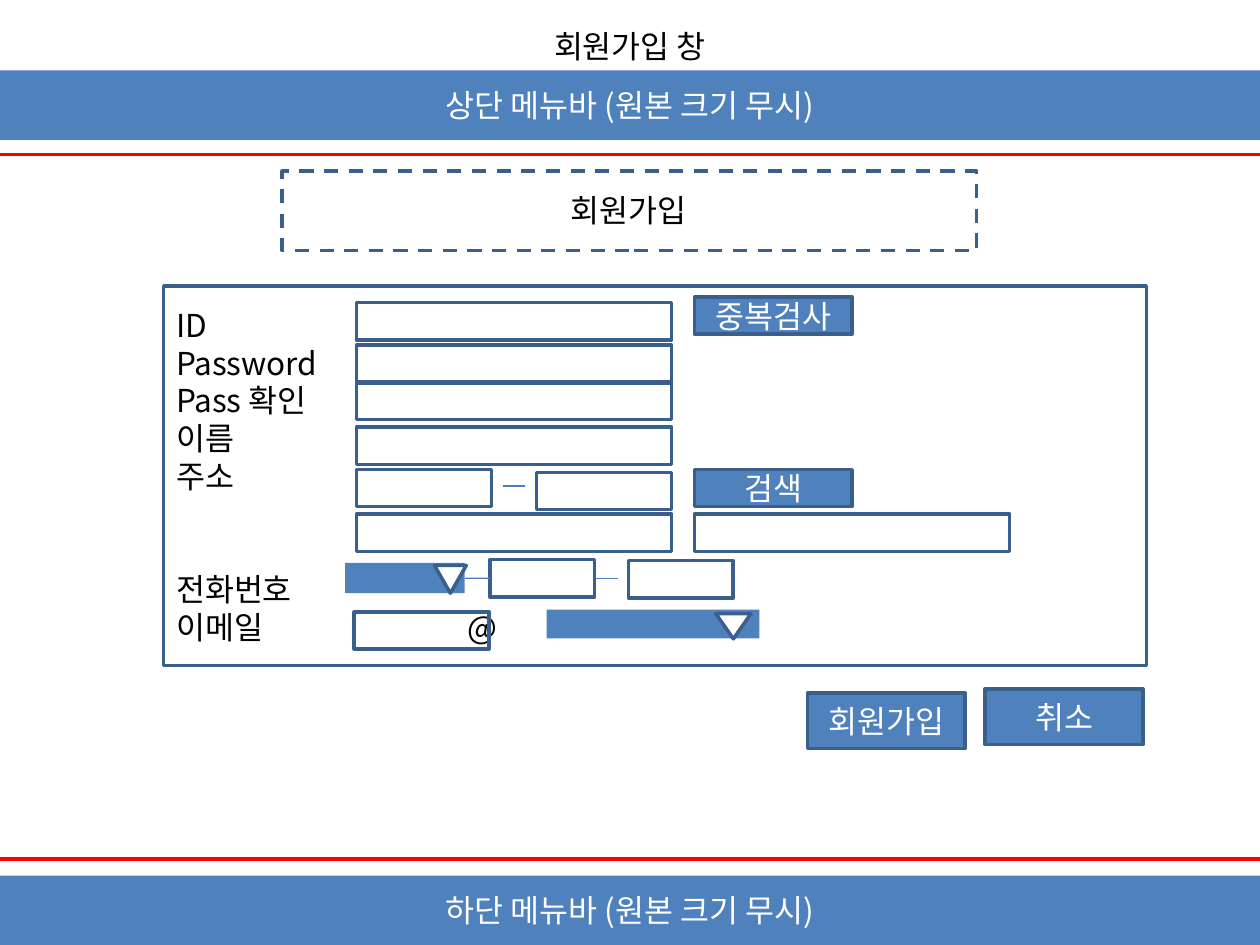
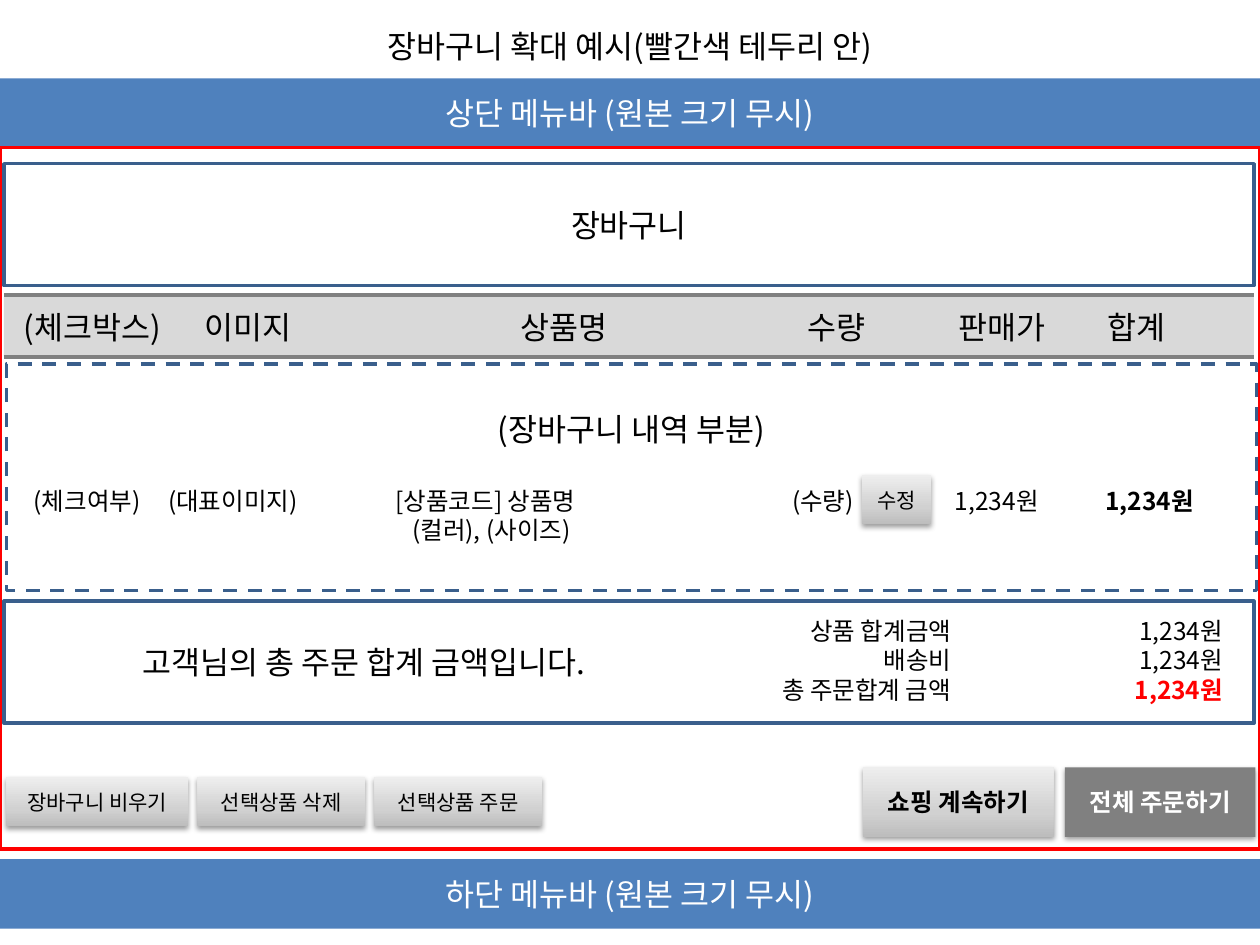
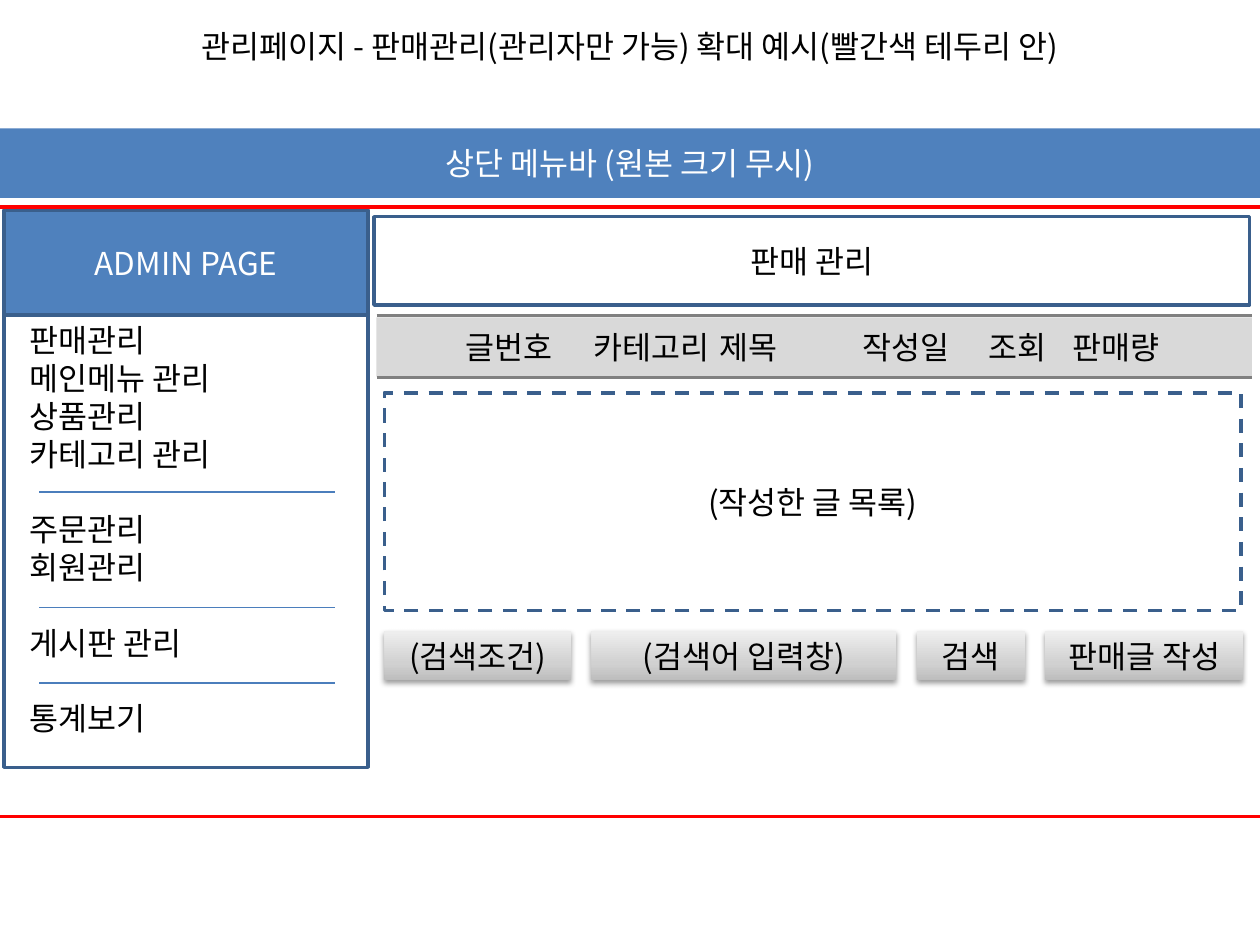
import copy
from dataclasses import dataclass
from typing import Any, NamedTuple, Optional

import pptx
import pptx.dml.color
import pptx.enum.dml
import pptx.enum.shapes
import pptx.enum.text
import pptx.oxml.ns
import pptx.util
from lxml import etree

Cm = pptx.util.Cm
Pt = pptx.util.Pt
RGBColor = pptx.dml.color.RGBColor
SHAPE = pptx.enum.shapes.MSO_SHAPE
ALIGN = pptx.enum.text.PP_ALIGN
ANCHOR = pptx.enum.text.MSO_ANCHOR
qn = pptx.oxml.ns.qn

BLUE = RGBColor(0x4F, 0x81, 0xBD)
DARK_BLUE = RGBColor(0x3A, 0x5F, 0x8C)
RULE_BLUE = RGBColor(0x4B, 0x7E, 0xBC)
RED = RGBColor(0xFF, 0x00, 0x00)
BLACK = RGBColor(0x00, 0x00, 0x00)
WHITE = RGBColor(0xFF, 0xFF, 0xFF)
GRAY = RGBColor(0x80, 0x80, 0x80)
LIGHT_GRAY = RGBColor(0xD9, 0xD9, 0xD9)
BUTTON_STOPS = (
    (0, RGBColor(0xBD, 0xBD, 0xBD)),
    (0.35, RGBColor(0xD1, 0xD1, 0xD1)),
    (1, RGBColor(0xEE, 0xEE, 0xEE)),
)

FONT = "Noto Sans CJK KR"
SLIDE_WIDTH, SLIDE_HEIGHT = 25.4, 19.05
BAND_HEIGHT = 1.4
LEADING = 1.2
GROUP_GAP = 21.6
TOP_MENU = "상단 메뉴바 (원본 크기 무시)"
BOTTOM_MENU = "하단 메뉴바 (원본 크기 무시)"


class Box(NamedTuple):
    left: float
    top: float
    width: float
    height: float


@dataclass(frozen=True)
class Para:
    text: str
    size: float = 18
    color: RGBColor = BLACK
    bold: bool = False
    align: Any = ALIGN.LEFT
    before: float = 0
    tabs: tuple[float, ...] = ()
    bold_tail: str = ""


@dataclass(frozen=True)
class Look:
    fill: Optional[RGBColor] = None
    line: Optional[RGBColor] = None
    dashed: bool = False
    gradient: bool = False
    shadow: bool = False


@dataclass(frozen=True)
class Button:
    label: str
    width: float
    look: Look
    color: RGBColor = BLACK


OUTLINE = Look(line=DARK_BLUE)
DASHED = Look(line=DARK_BLUE, dashed=True)
BAND = Look(fill=BLUE)
BLUE_BUTTON = Look(fill=BLUE, line=DARK_BLUE)
ARROW = Look(fill=WHITE, line=DARK_BLUE)
RED_FRAME = Look(line=RED)
HEADER = Look(fill=LIGHT_GRAY)
RAISED = Look(gradient=True, shadow=True)
RAISED_DARK = Look(fill=GRAY, shadow=True)


def apply(target: Any, values: dict[str, Any]) -> None:
    for name, value in values.items():
        setattr(target, name, value)


def place(shape: Any, box: Box) -> None:
    apply(shape, {name: Cm(value) for name, value in box._asdict().items()})


def centred(text: str, color: RGBColor = BLACK, size: float = 18, bold: bool = False) -> Para:
    return Para(text, size, color, bold, ALIGN.CENTER)


def add_run(paragraph: Any, text: str, para: Para, bold: bool) -> None:
    run = paragraph.add_run()
    run.text = text
    apply(run.font, {"size": Pt(para.size), "bold": bold, "name": FONT})
    run.font.color.rgb = para.color
    etree.SubElement(run.font._element, qn("a:ea"), typeface=FONT)


def clear_bullet(properties: Any) -> None:
    for name in ("marL", "indent"):
        properties.set(name, "0")
    etree.SubElement(properties, qn("a:buNone"))


def add_tabs(properties: Any, tabs: tuple[float, ...]) -> None:
    stops = etree.SubElement(properties, qn("a:tabLst"))
    for tab in tabs:
        etree.SubElement(stops, qn("a:tab"), pos=str(int(Cm(tab))), algn="l")


def write(shape: Any, paras: list[Para], anchor: Any = ANCHOR.MIDDLE, margin: float = 0.25) -> None:
    frame = shape.text_frame
    apply(frame, {
        "word_wrap": True,
        "auto_size": pptx.enum.text.MSO_AUTO_SIZE.NONE,
        "vertical_anchor": anchor,
        "margin_left": Cm(margin),
        "margin_right": Cm(margin),
        "margin_top": Cm(0.13),
        "margin_bottom": Cm(0.13),
    })
    for index, para in enumerate(paras):
        paragraph = frame.add_paragraph() if index else frame.paragraphs[0]
        properties = paragraph._p.get_or_add_pPr()
        if shape.is_placeholder:
            clear_bullet(properties)
        if para.tabs:
            add_tabs(properties, para.tabs)
        apply(paragraph, {
            "alignment": para.align,
            "line_spacing": Pt(para.size * LEADING),
            "space_before": Pt(para.before),
            "space_after": Pt(0),
        })
        add_run(paragraph, para.text, para, para.bold)
        if para.bold_tail:
            add_run(paragraph, para.bold_tail, para, True)


def add_gradient(shape: Any) -> None:
    shape.fill.gradient()
    shape.fill.gradient_angle = 90
    stops = shape._element.spPr.find(".//" + qn("a:gsLst"))
    stops.insert(1, copy.deepcopy(stops[0]))
    for stop, (position, color) in zip(shape.fill.gradient_stops, BUTTON_STOPS):
        stop.color.rgb = color
        stop.position = position


def add_shadow(shape: Any) -> None:
    effects = shape._element.spPr.find(qn("a:effectLst"))
    shadow = etree.SubElement(effects, qn("a:outerShdw"), blurRad="40000", dist="20000",
                              dir="5400000", rotWithShape="0")
    color = etree.SubElement(shadow, qn("a:srgbClr"), val=str(BLACK))
    etree.SubElement(color, qn("a:alpha"), val="38000")


def add_box(slide: Any, box: Box, look: Look, *paras: Para, kind: Any = SHAPE.RECTANGLE,
            margin: float = 0.25) -> Any:
    shape = slide.shapes.add_shape(kind, *map(Cm, box))
    shape.shadow.inherit = False
    if look.gradient:
        add_gradient(shape)
    elif look.fill is not None:
        shape.fill.solid()
        shape.fill.fore_color.rgb = look.fill
    else:
        shape.fill.background()
    if look.line is not None:
        shape.line.color.rgb = look.line
        shape.line.width = Pt(2)
        if look.dashed:
            shape.line.dash_style = pptx.enum.dml.MSO_LINE.DASH
    else:
        shape.line.fill.background()
    if look.shadow:
        add_shadow(shape)
    if paras:
        write(shape, list(paras), margin=margin)
    return shape


def add_text(slide: Any, box: Box, *paras: Para) -> None:
    write(slide.shapes.add_textbox(*map(Cm, box)), list(paras), ANCHOR.TOP)


def add_rule(slide: Any, left: float, right: float, y: float,
             color: RGBColor = RULE_BLUE, width: float = 0.75) -> Any:
    rule = slide.shapes.add_connector(
        pptx.enum.shapes.MSO_CONNECTOR.STRAIGHT, Cm(left), Cm(y), Cm(right), Cm(y))
    rule.line.color.rgb = color
    rule.line.width = Pt(width)
    etree.SubElement(rule._element.spPr, qn("a:effectLst"))
    return rule


def add_band(slide: Any, top: float, text: str) -> None:
    add_box(slide, Box(0, top, SLIDE_WIDTH, BAND_HEIGHT), BAND, centred(text, WHITE))


def add_header(slide: Any, box: Box, columns: Para, margin: float) -> None:
    add_box(slide, box, HEADER, columns, margin=margin)
    for y in (box.top - 0.04, box.top + box.height + 0.02):
        add_rule(slide, box.left, box.left + box.width, y, GRAY, 2.25)


def add_buttons(slide: Any, first: tuple[float, float], height: float, gap: float,
                buttons: list[Button], size: float, bold: bool = False) -> None:
    left, top = first
    for button in buttons:
        add_box(slide, Box(left, top, button.width, height), button.look,
                centred(button.label, button.color, size, bold))
        left += button.width + gap


def start_slide(deck: Any, layout: int, title: str, menu_top: float) -> Any:
    slide = deck.slides.add_slide(deck.slide_layouts[layout])
    place(slide.shapes.title, Box(0, 0.41, SLIDE_WIDTH, 1.02))
    write(slide.shapes.title, [centred(title)], ANCHOR.TOP)
    add_band(slide, menu_top, TOP_MENU)
    return slide


def build_sign_up(deck: Any) -> None:
    slide = start_slide(deck, 5, "회원가입 창", 1.42)
    add_box(slide, Box(-0.58, 3.12, 26.59, 14.2), RED_FRAME)
    add_band(slide, 17.65, BOTTOM_MENU)
    add_box(slide, Box(5.69, 3.45, 14, 1.6), DASHED)
    labels = [Para(label) for label in ("ID", "Password", "Pass 확인", "이름", "주소")]
    add_box(slide, Box(3.3, 5.77, 19.81, 7.65), OUTLINE, *labels,
            Para("전화번호", before=2 * GROUP_GAP), Para("이메일\t@", tabs=(5.88,)))
    add_text(slide, Box(8.18, 3.73, 8.99, 1.02), centred("회원가입"))

    field_left, side_left = 7.19, 14
    for top in (6.1, 6.96, 7.7, 8.61, 10.36):
        add_box(slide, Box(field_left, top, 6.35, 0.76), OUTLINE)
    add_box(slide, Box(side_left, 10.36, 6.35, 0.76), OUTLINE)
    for left, top in ((field_left, 9.47), (10.82, 9.53), (7.14, 12.34)):
        add_box(slide, Box(left, top, 2.72, 0.74), OUTLINE)
    phone_middle, _ = [add_box(slide, Box(left, top, 2.11, 0.76), OUTLINE)
                       for left, top in ((9.88, 11.28), (12.67, 11.3))]
    phone_prefix, _ = [add_box(slide, box, BAND)
                       for box in (Box(6.96, 11.35, 2.41, 0.61), Box(11.02, 12.29, 4.29, 0.58))]

    add_rule(slide, 10.13, 10.59, 9.8)
    prefix_dash = add_rule(slide, 9.37, 9.88, 11.66)
    prefix_dash.begin_connect(phone_prefix, 3)
    prefix_dash.end_connect(phone_middle, 1)
    middle_dash = add_rule(slide, 11.99, 12.45, 11.66)
    middle_dash.begin_connect(phone_middle, 3)
    for box in (Box(8.76, 11.4, 0.64, 0.56), Box(14.43, 12.37, 0.71, 0.51)):
        add_box(slide, box, ARROW, kind=SHAPE.FLOWCHART_MERGE)

    for label, left, top, height in (
        ("중복검사", side_left, 5.99, 0.74),
        ("검색", side_left, 9.47, 0.74),
        ("회원가입", 16.28, 13.97, 1.12),
        ("취소", 19.86, 13.89, 1.12),
    ):
        add_box(slide, Box(left, top, 3.18, height), BLUE_BUTTON, centred(label, WHITE))


def build_cart(deck: Any) -> None:
    slide = start_slide(deck, 5, "장바구니 확대 예시(빨간색 테두리 안)", 1.58)
    add_box(slide, Box(0, 2.97, SLIDE_WIDTH, 14.15), RED_FRAME)
    add_box(slide, Box(0.08, 3.3, 25.2, 2.46), OUTLINE, centred("장바구니"))
    add_box(slide, Box(0.13, 7.34, 25.2, 4.57), DASHED,
            centred("(장바구니 내역 부분)"),
            Para("(체크여부)\t(대표이미지)\t[상품코드] 상품명\t(수량)\t1,234원\t", 14,
                 before=GROUP_GAP, tabs=(2.71, 7.29, 15.29, 18.57, 21.6), bold_tail="1,234원"),
            Para("\t(컬러), (사이즈)", 14, tabs=(7.63,)), margin=0.55)
    add_header(slide, Box(0.08, 5.99, 25.2, 1.19),
               Para("(체크박스)\t이미지\t상품명\t수량\t판매가\t합계",
                    tabs=(3.65, 10.02, 15.79, 18.85, 21.85)), 0.4)
    add_box(slide, Box(0.08, 12.12, 25.2, 2.46), OUTLINE,
            Para("고객님의 총 주문 합계 금액입니다."), margin=2.8)
    add_text(slide, Box(14.48, 12.29, 4.95, 2.06),
             *(Para(label, 14, align=ALIGN.RIGHT)
               for label in ("상품 합계금액", "배송비", "총 주문합계 금액")))
    add_text(slide, Box(19.96, 12.29, 4.95, 2.06),
             *(Para("1,234원", 14, color, color == RED, ALIGN.RIGHT)
               for color in (BLACK, BLACK, RED)))
    add_buttons(slide, (0.13, 15.67), 0.99, 0.19, [
        Button("장바구니 비우기", 3.66, RAISED),
        Button("선택상품 삭제", 3.38, RAISED),
        Button("선택상품 주문", 3.38, RAISED),
    ], 12)
    add_buttons(slide, (17.4, 15.47), 1.4, 0.23, [
        Button("쇼핑 계속하기", 3.84, RAISED),
        Button("전체 주문하기", 3.84, RAISED_DARK, WHITE),
    ], 14, True)
    add_buttons(slide, (17.37, 9.58), 0.99, 0, [Button("수정", 1.4, RAISED)], 12)
    add_band(slide, 17.32, BOTTOM_MENU)


def build_sales_admin(deck: Any) -> None:
    slide = start_slide(deck, 1, "관리페이지 - 판매관리(관리자만 가능) 확대 예시(빨간색 테두리 안)", 2.59)
    add_box(slide, Box(-0.58, 4.17, 26.59, 12.29), RED_FRAME)
    add_box(slide, Box(0.08, 4.24, 7.34, 2.11), BLUE_BUTTON, centred("ADMIN PAGE", WHITE))
    menu_groups = (
        ("판매관리", "메인메뉴 관리", "상품관리", "카테고리 관리"),
        ("주문관리", "회원관리"),
        ("게시판 관리",),
        ("통계보기",),
    )
    menu = slide.placeholders[1]
    place(menu, Box(0, 6.35, 7.75, 8.71))
    write(menu, [Para(item, before=GROUP_GAP if group_index and not item_index else 0)
                 for group_index, group in enumerate(menu_groups)
                 for item_index, item in enumerate(group)], ANCHOR.TOP, 0.6)
    add_box(slide, Box(0.08, 4.24, 7.34, 11.23), OUTLINE)
    for y in (9.92, 12.24, 13.77):
        add_rule(slide, 0.79, 6.76, y)
    add_box(slide, Box(7.54, 4.37, 17.65, 1.78), OUTLINE, centred("판매 관리"))
    add_header(slide, Box(7.59, 6.4, 17.65, 1.19),
               Para("글번호\t카테고리\t제목\t작성일\t조회\t판매량",
                    tabs=(2.58, 5.12, 8, 10.54, 12.24)), 1.8)
    add_box(slide, Box(7.75, 7.92, 17.27, 4.39), DASHED, centred("(작성한 글 목록)"))
    add_buttons(slide, (7.75, 12.73), 0.99, 0.41, [
        Button("(검색조건)", 3.76, RAISED),
        Button("(검색어 입력창)", 6.15, RAISED),
        Button("검색", 2.18, RAISED),
        Button("판매글 작성", 3.99, RAISED),
    ], 18)


def main() -> None:
    deck = pptx.Presentation()
    apply(deck, {"slide_width": Cm(SLIDE_WIDTH), "slide_height": Cm(SLIDE_HEIGHT)})
    for build in (build_sign_up, build_cart, build_sales_admin):
        build(deck)
    deck.save("out.pptx")


if __name__ == "__main__":
    main()
